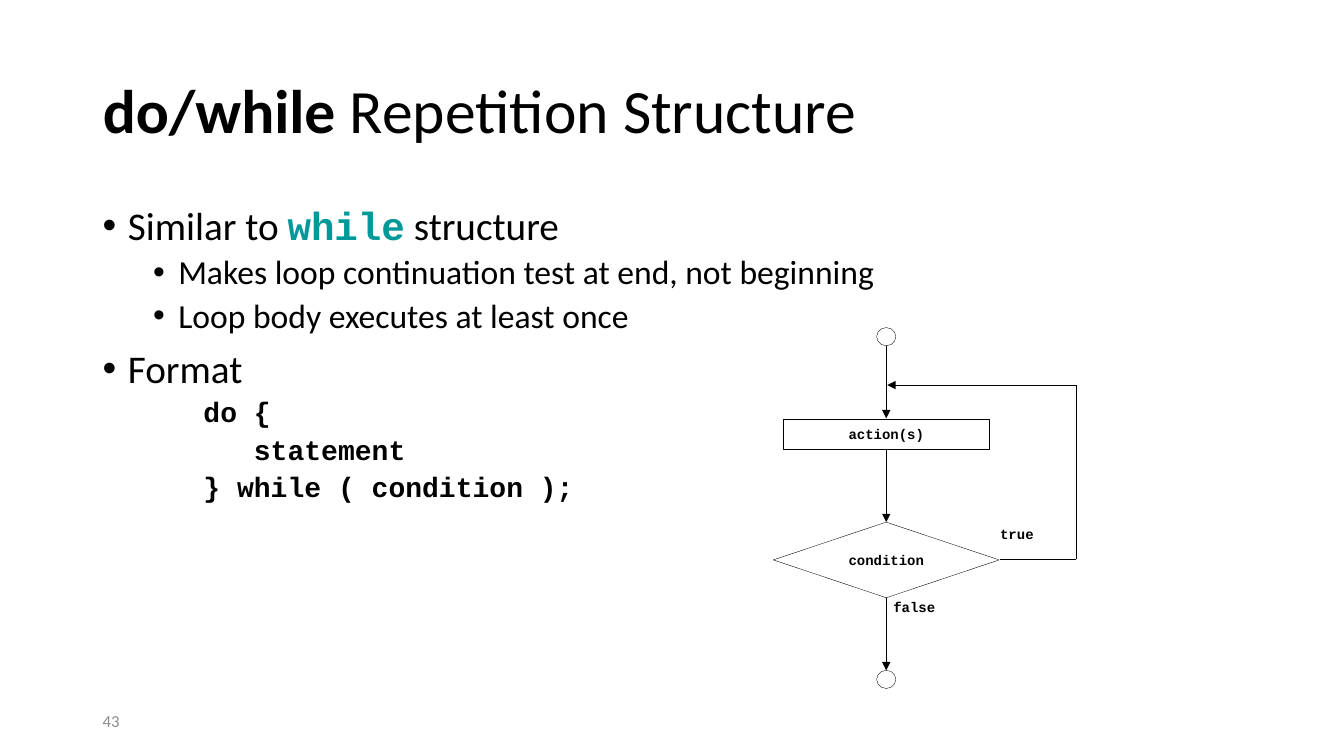
import pptx
import pptx.util
import pptx.dml.color
import pptx.enum.shapes
import pptx.enum.text
import pptx.oxml
import pptx.oxml.ns

Inches = pptx.util.Inches
Pt = pptx.util.Pt
SHAPES = pptx.enum.shapes.MSO_SHAPE
ANCHORS = pptx.enum.text.MSO_ANCHOR
ALIGNS = pptx.enum.text.PP_ALIGN
COLORS = {"ink": "000000", "paper": "FFFFFF", "keyword": "009999", "number": "8C8C8C"}


def color(name):
    return pptx.dml.color.RGBColor.from_string(COLORS[name])


def add_span(para, text, size=28, font="Calibri", ink="ink", bold=False):
    span = para.add_run()
    span.text = text
    span.font.size = Pt(size)
    span.font.name = font
    span.font.bold = bold
    span.font.color.rgb = color(ink)
    return span


def add_element(parent, tag, **attributes):
    element = pptx.oxml.parse_xml(f"<a:{tag} {pptx.oxml.ns.nsdecls('a')}/>")
    for name, value in attributes.items():
        element.set(name, str(value))
    parent.append(element)


class SlideBuilder:
    code = {"font": "Courier New", "bold": True}
    label_size = 10
    line_width = Pt(0.25)

    def __init__(self, deck):
        self.page = deck.slides.add_slide(deck.slide_layouts[5])

    def set_frame(self, frame, anchor=ANCHORS.TOP, inset=None):
        frame.word_wrap = True
        frame.auto_size = pptx.enum.text.MSO_AUTO_SIZE.NONE
        frame.vertical_anchor = anchor
        if inset is not None:
            frame.margin_left = frame.margin_right = Inches(inset)
            frame.margin_top = frame.margin_bottom = Inches(inset)

    def title(self, left, top, width, height, spans):
        box = self.page.shapes.title
        box.left, box.top = Inches(left), Inches(top)
        box.width, box.height = Inches(width), Inches(height)
        self.set_frame(box.text_frame, ANCHORS.MIDDLE)
        para = box.text_frame.paragraphs[0]
        para.alignment = ALIGNS.LEFT
        para.line_spacing = 0.9
        for text, style in spans:
            add_span(para, text, size=44, **style)

    def text(self, left, top, width, height, anchor=ANCHORS.TOP, inset=None):
        box = self.page.shapes.add_textbox(
            Inches(left), Inches(top), Inches(width), Inches(height))
        self.set_frame(box.text_frame, anchor, inset)
        return box.text_frame

    def outline(self, left, top, width, height, items):
        frame = self.text(left, top, width, height)
        for index, (level, spans) in enumerate(items):
            para = frame.paragraphs[0] if index == 0 else frame.add_paragraph()
            para.level = level
            para.line_spacing = 0.9
            para.space_before = Pt(0 if index == 0 else 5 if level else 10)
            properties = para._p.get_or_add_pPr()
            properties.set("marL", str(Inches(0.25 + 0.5 * level)))
            properties.set("indent", str(Inches(-0.25)))
            if level < 2:
                add_element(properties, "buFont", typeface="Arial")
                add_element(properties, "buChar", char="•")
            else:
                add_element(properties, "buNone")
            for text, style in spans:
                add_span(para, text, size=28 - 4 * level, **style)

    def node(self, kind, center, top, width, height, text=""):
        shape = self.page.shapes.add_shape(
            kind, Inches(center - width / 2), Inches(top), Inches(width), Inches(height))
        shape.shadow.inherit = False
        shape.fill.solid()
        shape.fill.fore_color.rgb = color("paper")
        shape.line.color.rgb = color("ink")
        shape.line.width = self.line_width
        if text:
            self.set_frame(shape.text_frame, ANCHORS.MIDDLE, 0)
            para = shape.text_frame.paragraphs[0]
            para.alignment = ALIGNS.CENTER
            add_span(para, text, size=self.label_size, **self.code)

    def label(self, left, top, width, height, text):
        frame = self.text(left, top, width, height, inset=0)
        add_span(frame.paragraphs[0], text, size=self.label_size, **self.code)

    def line(self, start, end, arrow=False):
        connector = self.page.shapes.add_connector(
            pptx.enum.shapes.MSO_CONNECTOR.STRAIGHT, *map(Inches, start + end))
        connector.line.color.rgb = color("ink")
        connector.line.width = self.line_width
        if arrow:
            add_element(connector.line._get_or_add_ln(), "tailEnd", type="triangle")
        add_element(connector._element.spPr, "effectLst")


def main():
    deck = pptx.Presentation()
    deck.slide_width, deck.slide_height = Inches(13.33), Inches(7.5)
    slide = SlideBuilder(deck)

    slide.title(0.92, 0.4, 11.5, 1.45,
                [("do/while", {"bold": True}), (" Repetition Structure", {})])
    slide.outline(0.92, 2, 11.5, 4.76, [
        (0, [("Similar to ", {}), ("while", {"ink": "keyword", **slide.code}),
             (" structure", {})]),
        (1, [("Makes loop continuation test at end, not beginning", {})]),
        (1, [("Loop body executes at least once", {})]),
        (0, [("Format", {})]),
        (2, [("do {", slide.code)]),
        (2, [("   statement", slide.code)]),
        (2, [("} while ( condition );", slide.code)]),
    ])
    number = slide.text(0.92, 6.95, 3, 0.4, ANCHORS.MIDDLE)
    add_span(number.paragraphs[0], "43", size=12, ink="number")

    center, loop_right = 8.79, 10.67
    loop_top, test_middle = 3.82, 5.55
    for top in (3.25, 6.65):
        slide.node(SHAPES.OVAL, center, top, 0.19, 0.18)
    slide.node(SHAPES.RECTANGLE, center, 4.16, 2.05, 0.3, "action(s)")
    slide.node(SHAPES.DIAMOND, center, 5.18, 2.24, 0.75, "condition")
    for top in (3.43, 4.46, 5.93):
        slide.line((center, top), (center, top + 0.72), arrow=True)
    slide.line((9.92, test_middle), (loop_right, test_middle))
    slide.line((loop_right, test_middle), (loop_right, loop_top))
    slide.line((loop_right, loop_top), (center + 0.01, loop_top), arrow=True)
    slide.label(9.92, 5.21, 0.66, 0.36, "true")
    slide.label(8.86, 5.94, 0.81, 0.36, "false")

    deck.save("out.pptx")


if __name__ == "__main__":
    main()
